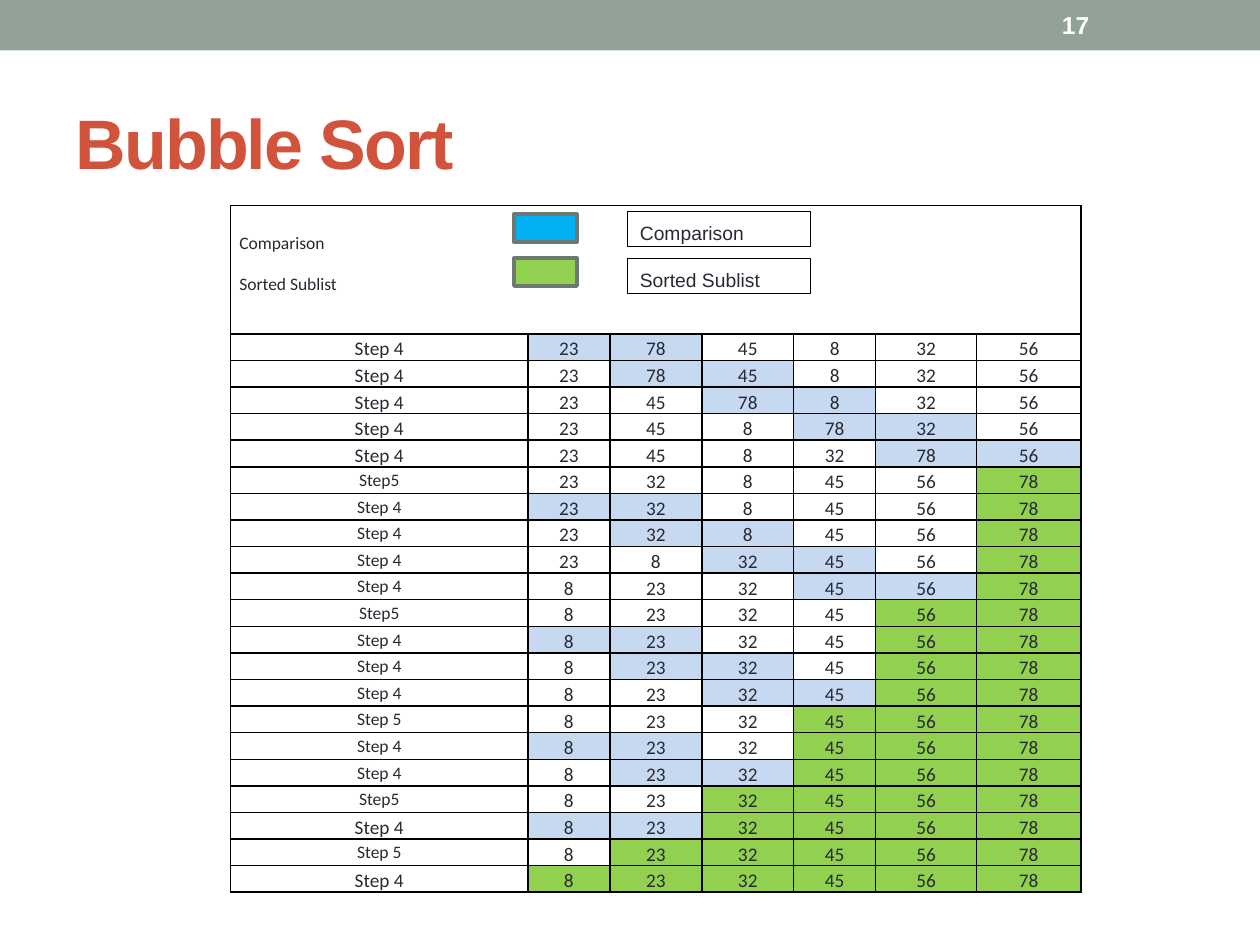
"""Build the Bubble Sort slide: a legend and a table of every sorting step."""
from lxml import etree
from pptx import Presentation
from pptx.dml.color import RGBColor
from pptx.enum.shapes import MSO_SHAPE
from pptx.enum.text import MSO_ANCHOR, PP_ALIGN
from pptx.oxml.ns import qn
from pptx.util import Inches, Pt

RECTANGLE = MSO_SHAPE.RECTANGLE
TOP, MIDDLE = MSO_ANCHOR.TOP, MSO_ANCHOR.MIDDLE
LEFT, CENTER = PP_ALIGN.LEFT, PP_ALIGN.CENTER

THEME = {
    "band": "93A299", "title": "D2533C", "text": "292934", "white": "FFFFFF",
    "black": "000000", "compared": "C6D9F1", "comparison": "00B0F0",
    "sorted": "92D050", "swatch_line": "6D7871",
    "heading_font": "Arial", "table_font": "Calibri",
    "title_size": 40, "number_size": 14, "body_size": 11, "small_size": 10,
}


def write_text(frame, lines, size, color="text", font="heading_font", bold=False,
               align=LEFT, line_spacing=1.0, space_after=0, tracking=0):
    frame.word_wrap = True
    for index, line in enumerate(lines):
        paragraph = frame.paragraphs[0] if index == 0 else frame.add_paragraph()
        paragraph.alignment = align
        paragraph.line_spacing = line_spacing
        paragraph.space_after = Pt(space_after)
        run = paragraph.add_run()
        run.text = line
        run.font.size = Pt(THEME[size])
        run.font.name = THEME[font]
        run.font.bold = bold
        run.font.color.rgb = RGBColor.from_string(THEME[color])
        if tracking:
            run._r.get_or_add_rPr().set("spc", str(tracking * 100))


def add_rectangle(left, top, width, height, fill, line=None, line_width=0):
    shape = slide.shapes.add_shape(
        RECTANGLE, Inches(left), Inches(top), Inches(width), Inches(height))
    shape.shadow.inherit = False
    shape.fill.solid()
    shape.fill.fore_color.rgb = RGBColor.from_string(THEME[fill])
    if line:
        shape.line.color.rgb = RGBColor.from_string(THEME[line])
        shape.line.width = Pt(line_width)
    else:
        shape.line.fill.background()
    return shape


presentation = Presentation()
presentation.slide_width, presentation.slide_height = Inches(10), Inches(7.5)
slide = presentation.slides.add_slide(presentation.slide_layouts[6])

add_rectangle(0, 0, 10, 0.4, "band")

headings = [
    ("Bubble Sort", 0.5, 0.58, 9, 1.08, "title_size", "title", -1),
    ("17", 8.33, 0.02, 1.17, 0.36, "number_size", "white", 0),
]
for text, left, top, width, height, size, color, tracking in headings:
    box = slide.shapes.add_textbox(Inches(left), Inches(top), Inches(width), Inches(height))
    box.text_frame.vertical_anchor = MIDDLE
    write_text(box.text_frame, [text], size, color=color, bold=True, tracking=tracking)

first_pass = [
    [23, 78, 45, 8, 32, 56],
    [23, 78, 45, 8, 32, 56],
    [23, 45, 78, 8, 32, 56],
    [23, 45, 8, 78, 32, 56],
    [23, 45, 8, 32, 78, 56],
]
second_pass = [[23, 32, 8, 45, 56, 78]] * 3 + [[23, 8, 32, 45, 56, 78]]
value_rows = first_pass + second_pass + [[8, 23, 32, 45, 56, 78]] * 12

pass_end_labels = ["Step5", "Step5", "Step 5", "Step5", "Step 5"]
steps = []
for sorted_count, end_label in enumerate(pass_end_labels):
    for first in range(5 - sorted_count):
        steps.append(("Step 4", (first, first + 1), sorted_count))
    steps.append((end_label, (), sorted_count + 1))
steps.append(("Step 4", (), 6))
large_label_rows = {1, 2, 3, 4, 5, 19, 21}

column_widths = [2.36, 0.65, 0.73, 0.73, 0.65, 0.8, 0.83]
row_heights = [1.02] + [0.21] * len(steps)
table = slide.shapes.add_table(
    len(row_heights), len(column_widths), Inches(1.83), Inches(1.63),
    Inches(sum(column_widths)), Inches(sum(row_heights))).table
table.first_row = False
table.horz_banding = False
for column, width in zip(table.columns, column_widths):
    column.width = Inches(width)
for row, height in zip(table.rows, row_heights):
    row.height = Inches(height)

for cell in table.iter_cells():
    cell.margin_left = cell.margin_right = Inches(0.07)
    cell.margin_top = cell.margin_bottom = 0
    cell.vertical_anchor = TOP
    properties = cell._tc.get_or_add_tcPr()
    for side in ("a:lnL", "a:lnR", "a:lnT", "a:lnB"):
        border = etree.SubElement(properties, qn(side), w=str(Pt(1)))
        border_fill = etree.SubElement(border, qn("a:solidFill"))
        etree.SubElement(border_fill, qn("a:srgbClr"), val=THEME["black"])
    cell.fill.background()

legend_cell = table.cell(0, 0)
legend_cell.merge(table.cell(0, len(column_widths) - 1))
legend_cell.margin_top = Inches(0.19)
write_text(legend_cell.text_frame, ["Comparison", "Sorted Sublist"], "small_size",
           font="table_font", line_spacing=1.15, space_after=10)

for row_index, ((label, compared, sorted_count), values) in enumerate(zip(steps, value_rows), 1):
    for column_index, content in enumerate([label] + values):
        cell = table.cell(row_index, column_index)
        is_small = column_index == 0 and row_index not in large_label_rows
        write_text(cell.text_frame, [str(content)], "small_size" if is_small else "body_size",
                   font="table_font", align=CENTER, line_spacing=1.15)
        position = column_index - 1
        fill = None
        if position in compared:
            fill = "compared"
        elif position >= 6 - sorted_count:
            fill = "sorted"
        if fill:
            cell.fill.solid()
            cell.fill.fore_color.rgb = RGBColor.from_string(THEME[fill])

legend = [("Sorted Sublist", "sorted", 2.05, 2.05), ("Comparison", "comparison", 1.7, 1.68)]
for text, fill, swatch_top, label_top in legend:
    add_rectangle(4.08, swatch_top, 0.5, 0.22, fill, "swatch_line", 2.08)
    label_box = add_rectangle(4.98, label_top, 1.45, 0.28, "white", "black", 0.5)
    label_box.text_frame.vertical_anchor = TOP
    write_text(label_box.text_frame, [text], "body_size", line_spacing=1.15, space_after=10)

presentation.save("out.pptx")
